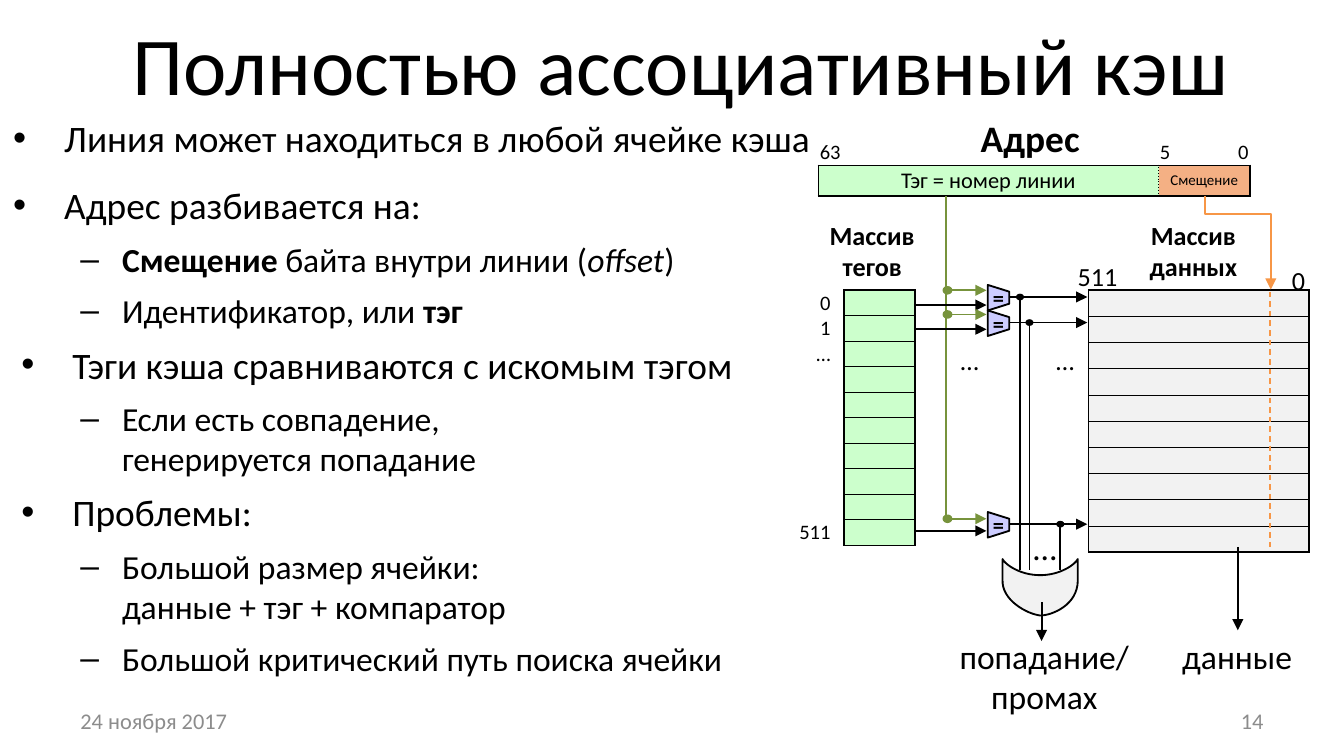
from dataclasses import dataclass

import lxml.etree
import pptx
import pptx.dml.color
import pptx.enum.dml
import pptx.enum.shapes
import pptx.enum.text
import pptx.oxml.ns
import pptx.util

Inches = pptx.util.Inches
Pt = pptx.util.Pt
qn = pptx.oxml.ns.qn
SubElement = lxml.etree.SubElement
ALIGN = pptx.enum.text.PP_ALIGN
ANCHOR = pptx.enum.text.MSO_ANCHOR
SHAPE = pptx.enum.shapes.MSO_SHAPE
CONNECTOR = pptx.enum.shapes.MSO_CONNECTOR
DASH = pptx.enum.dml.MSO_LINE

COLORS = {"black": "000000", "white": "FFFFFF", "gray": "F2F2F2", "mint": "CCFFCC", "salmon": "F4B084",
          "green": "77933C", "lilac": "CCCCFF", "orange": "F79646", "footer": "8C8C8C"}
PLAIN_TABLE_STYLE = "{2D5ABB26-0587-4C30-8999-92F81FD0307C}"
ROWS = 10
TOP = 2.16


@dataclass
class Run:
    text: str
    bold: bool = False
    italic: bool = False


@dataclass
class Bullet:
    runs: list[Run]
    level: int = 0
    indent: float = 0.38
    before: float = 6


@dataclass
class Label:
    lines: list[str]
    left: float
    top: float
    width: float
    height: float
    size: float
    align: ALIGN = ALIGN.CENTER
    bold: bool = False
    color: str = "black"
    wrap: bool = False
    anchor: ANCHOR = ANCHOR.TOP


@dataclass
class Comparator:
    top: float
    green_y: float
    output_y: float
    tag_y: float
    dot_x: float


BULLETS = [
    Bullet([Run("Линия может находиться в любой ячейке кэша")], before=0),
    Bullet([Run("Адрес разбивается на:")], before=12),
    Bullet([Run("Смещение", bold=True), Run(" байта внутри линии ("), Run("offset", italic=True), Run(")")], 1, 0.81),
    Bullet([Run("Идентификатор, или "), Run("тэг", bold=True)], 1, 0.81),
    Bullet([Run("Тэги кэша сравниваются с искомым тэгом")], indent=0.44),
    Bullet([Run("Если есть совпадение,\nгенерируется попадание")], 1, 0.81),
    Bullet([Run("Проблемы:")], indent=0.44),
    Bullet([Run("Большой размер ячейки:\nданные + тэг + компаратор")], 1, 0.81),
    Bullet([Run("Большой критический путь поиска ячейки")], 1, 0.81),
]
LABELS = [
    Label(["Полностью ассоциативный кэш"], 0.57, 0, 9, 0.94, 44, wrap=True, anchor=ANCHOR.MIDDLE),
    Label(["данные"], 8.69, 4.68, 1.03, 0.4, 18),
    Label(["511"], 7.92, 1.89, 0.5, 0.34, 14, ALIGN.LEFT),
    Label(["0"], 9.51, 1.92, 0.3, 0.34, 14, ALIGN.RIGHT),
    Label(["…"], 7.59, 3.87, 0.38, 0.4, 18, ALIGN.LEFT),
    Label(["попадание/\nпромах"], 7.03, 4.68, 1.48, 0.71, 18),
    Label(["…"], 7.05, 2.51, 0.34, 0.34, 14, ALIGN.LEFT),
    Label(["…"], 7.76, 2.51, 0.34, 0.34, 14, ALIGN.LEFT),
    Label(["Массив", "тегов"], 6.07, 1.58, 0.84, 0.57, 14, bold=True),
    Label(["Массив", "данных"], 8.45, 1.58, 0.86, 0.57, 14, bold=True),
    Label(["Адрес"], 6.67, 0.81, 1.99, 0.44, 20, bold=True, wrap=True),
    Label(["24 ноября 2017"], 0.5, 5.21, 2.33, 0.3, 12, ALIGN.LEFT, color="footer", wrap=True, anchor=ANCHOR.MIDDLE),
    Label(["14"], 7.17, 5.21, 2.33, 0.3, 12, ALIGN.RIGHT, color="footer", wrap=True, anchor=ANCHOR.MIDDLE),
]
COMPARATORS = [
    Comparator(2.12, 2.16, 2.21, 2.27, 7.59),
    Comparator(2.31, 2.34, 2.4, 2.45, 7.66),
    Comparator(3.81, 3.86, 3.9, 3.95, 7.89),
]


def rgb(name: str):
    return pptx.dml.color.RGBColor.from_string(COLORS[name])


def add_run(paragraph, run: Run, size: float, color: str = "black") -> None:
    for index, text in enumerate(run.text.split("\n")):
        if index:
            paragraph.add_line_break()
        piece = paragraph.add_run()
        piece.text = text
        font = piece.font
        font.name, font.size, font.bold, font.italic = "Calibri", Pt(size), run.bold, run.italic
        font.color.rgb = rgb(color)


def add_label(shapes, label: Label) -> None:
    box = shapes.add_textbox(Inches(label.left), Inches(label.top), Inches(label.width), Inches(label.height))
    frame = box.text_frame
    frame.word_wrap, frame.vertical_anchor = label.wrap, label.anchor
    for index, text in enumerate(label.lines):
        paragraph = frame.add_paragraph() if index else frame.paragraphs[0]
        paragraph.alignment = label.align
        add_run(paragraph, Run(text, label.bold), label.size, label.color)


def add_bullets(shapes) -> None:
    frame = shapes.add_textbox(Inches(0), Inches(0.81), Inches(6.17), Inches(4.76)).text_frame
    frame.word_wrap = True
    for index, bullet in enumerate(BULLETS):
        paragraph = frame.add_paragraph() if index else frame.paragraphs[0]
        paragraph.level = bullet.level
        paragraph.space_before = Pt(bullet.before)
        properties = paragraph._p.get_or_add_pPr()
        properties.set("marL", str(Inches(bullet.indent)))
        properties.set("indent", str(-Inches(0.31 if bullet.level else 0.38)))
        SubElement(properties, qn("a:buFont"), typeface="Arial")
        SubElement(properties, qn("a:buChar"), char="–" if bullet.level else "•")
        for run in bullet.runs:
            add_run(paragraph, run, 18 if bullet.level else 20)


def style_connector(connector, color: str, width: float, arrow: bool) -> None:
    connector.line.color.rgb = rgb(color)
    connector.line.width = Pt(width)
    if arrow:
        SubElement(connector.line._get_or_add_ln(), qn("a:tailEnd"), type="triangle")
    SubElement(connector._element.spPr, qn("a:effectLst"))


def add_line(shapes, start: tuple, end: tuple, color: str = "black", width: float = 1, arrow: bool = False):
    points = [Inches(value) for value in (*start, *end)]
    connector = shapes.add_connector(CONNECTOR.STRAIGHT, *points)
    style_connector(connector, color, width, arrow)
    return connector


def paint(shape, fill: str, line: str) -> None:
    shape.shadow.inherit = False
    shape.fill.solid()
    shape.fill.fore_color.rgb = rgb(fill)
    shape.line.color.rgb = rgb(line)
    shape.line.width = Pt(1)


def add_dot(shapes, x: float, y: float, color: str) -> None:
    dot = shapes.add_shape(SHAPE.OVAL, Inches(x - 0.03), Inches(y - 0.025), Inches(0.06), Inches(0.05))
    paint(dot, color, color)
    if color == "black":
        dot.line.fill.background()


def add_outline(shapes, points: list[tuple], fill: str):
    corners = [(Inches(x), Inches(y)) for x, y in points]
    builder = shapes.build_freeform(*corners[0], scale=1.0)
    builder.add_line_segments(corners[1:], close=True)
    shape = builder.convert_to_shape()
    paint(shape, fill, "black")
    return shape


def curve(start: tuple, first: tuple, second: tuple, end: tuple, steps: int = 16) -> list[tuple]:
    points = []
    for step in range(steps + 1):
        t = step / steps
        weights = ((1 - t) ** 3, 3 * t * (1 - t) ** 2, 3 * t * t * (1 - t), t ** 3)
        points.append(tuple(sum(w * p[axis] for w, p in zip(weights, (start, first, second, end))) for axis in (0, 1)))
    return points


def add_comparator(shapes, item: Comparator) -> None:
    y = item.top
    body = add_outline(shapes, [(7.35, y), (7.51, y + 0.05), (7.51, y + 0.14), (7.35, y + 0.19)], "lilac")
    frame = body.text_frame
    frame.margin_left = frame.margin_right = frame.margin_top = frame.margin_bottom = 0
    frame.word_wrap, frame.vertical_anchor = False, ANCHOR.MIDDLE
    frame.paragraphs[0].alignment = ALIGN.CENTER
    add_run(frame.paragraphs[0], Run("=", bold=True), 12)
    add_line(shapes, (7.03, item.green_y), (7.34, item.green_y), "green", arrow=True)
    add_dot(shapes, 7.05, item.green_y, "green")
    add_line(shapes, (6.8, item.tag_y), (7.34, item.tag_y), arrow=True)
    add_line(shapes, (7.51, item.output_y), (8.09, item.output_y), arrow=True)
    add_line(shapes, (item.dot_x, item.output_y), (item.dot_x, 4.24))
    add_dot(shapes, item.dot_x, item.output_y, "black")


def add_grid(shapes, left: float, top: float, columns: list[float], rows: list[float]):
    frame = shapes.add_table(len(rows), len(columns), Inches(left), Inches(top), Inches(sum(columns)), Inches(sum(rows)))
    table = frame.table
    table.first_row = table.horz_banding = False
    table._tbl.tblPr.find(qn("a:tableStyleId")).text = PLAIN_TABLE_STYLE
    for column, width in zip(table.columns, columns):
        column.width = Inches(width)
    for row, height in zip(table.rows, rows):
        row.height = Inches(height)
    return table


def fill_cell(cell, fill: str, borders: dict, text: str = "", size: float = 8, align: ALIGN = ALIGN.LEFT,
              right: float = 0.01, anchor: ANCHOR = ANCHOR.MIDDLE) -> None:
    cell.margin_left, cell.margin_right = Inches(0.01), Inches(right)
    cell.margin_top = cell.margin_bottom = 0
    cell.vertical_anchor = anchor
    properties = cell._tc.get_or_add_tcPr()
    for side in "LRTB":
        if side in borders:
            width, dash = borders[side]
            line = SubElement(properties, qn(f"a:ln{side}"), w=str(Pt(width)))
            SubElement(SubElement(line, qn("a:solidFill")), qn("a:srgbClr"), val=COLORS["black"])
            SubElement(line, qn("a:prstDash"), val=dash)
    cell.fill.solid()
    cell.fill.fore_color.rgb = rgb(fill)
    paragraph = cell.text_frame.paragraphs[0]
    paragraph.alignment = align
    if text:
        add_run(paragraph, Run(text), size)
    else:
        SubElement(paragraph._p, qn("a:endParaRPr"), sz=str(size * 100))


def row_borders(row: int) -> dict:
    thick, thin = (1, "solid"), (0.5, "solid")
    return {"L": thick, "R": thick, "T": thin if row else thick, "B": thick if row == ROWS - 1 else thin}


def add_arrays(shapes) -> None:
    data = add_grid(shapes, 8.1, TOP, [1.64], [1.95 / ROWS] * ROWS)
    tags = add_grid(shapes, 5.82, TOP, [0.46, 0.53], [1.9 / ROWS] * ROWS)
    numbers = {0: "0", 1: "1", 2: "…", ROWS - 1: "511"}
    for row in range(ROWS):
        fill_cell(data.cell(row, 0), "gray", row_borders(row))
        fill_cell(tags.cell(row, 0), "white", {"R": (1, "solid")}, numbers.get(row, ""), 11, ALIGN.RIGHT, 0.1,
                  ANCHOR.BOTTOM)
        fill_cell(tags.cell(row, 1), "mint", row_borders(row))


def add_address(shapes) -> None:
    solid, dotted = (1, "solid"), (0.5, "sysDot")
    table = add_grid(shapes, 6.09, 1.04, [2.53, 0.35, 0.33], [0.19, 0.23])
    for column, (bit, align) in enumerate([("63", ALIGN.LEFT), ("5", ALIGN.LEFT), ("0", ALIGN.RIGHT)]):
        fill_cell(table.cell(0, column), "white", {"B": solid}, bit, 11, align)
    table.cell(1, 1).merge(table.cell(1, 2))
    edges = {"T": solid, "B": solid}
    fill_cell(table.cell(1, 0), "mint", {**edges, "L": solid, "R": dotted}, "Тэг = номер линии", 12, ALIGN.CENTER)
    fill_cell(table.cell(1, 1), "salmon", {**edges, "L": dotted, "R": solid}, "Смещение", 8, ALIGN.CENTER)
    fill_cell(table.cell(1, 2), "salmon", {**edges, "R": solid})


def add_offset_path(shapes) -> None:
    elbow = shapes.add_connector(CONNECTOR.ELBOW, Inches(8.86), Inches(1.56), Inches(9.56), Inches(2.05))
    transform = elbow._element.spPr.find(qn("a:xfrm"))
    transform.set("rot", "16200000")
    transform.set("flipH", "1")
    guides = elbow._element.spPr.find(qn("a:prstGeom")).find(qn("a:avLst"))
    SubElement(guides, qn("a:gd"), name="adj1", fmla="val 19700")
    style_connector(elbow, "orange", 0.75, True)
    add_line(shapes, (9.45, 2.17), (9.45, 4.07), "orange", 0.75).line.dash_style = DASH.DASH


def main() -> None:
    presentation = pptx.Presentation()
    presentation.slide_width, presentation.slide_height = Inches(10), Inches(10 * 9 / 16)
    shapes = presentation.slides.add_slide(presentation.slide_layouts[6]).shapes
    add_arrays(shapes)
    add_address(shapes)
    add_bullets(shapes)
    add_line(shapes, (7.04, 1.46), (7.04, 3.87), "green")
    for comparator in COMPARATORS:
        add_comparator(shapes, comparator)
    gate = (curve((8.02, 4.16), (8, 4.2), (7.89, 4.28), (7.74, 4.28))
            + curve((7.74, 4.28), (7.59, 4.28), (7.48, 4.2), (7.46, 4.16))
            + curve((7.46, 4.31), (7.45, 4.47), (7.65, 4.57), (7.74, 4.58))
            + curve((7.74, 4.58), (7.83, 4.58), (8.02, 4.5), (8.02, 4.32)))
    add_outline(shapes, gate, "gray")
    add_line(shapes, (7.75, 4.48), (7.75, 4.77), arrow=True)
    add_line(shapes, (9.21, 4.07), (9.21, 4.69), arrow=True)
    add_offset_path(shapes)
    for label in LABELS:
        add_label(shapes, label)
    presentation.save("out.pptx")


if __name__ == "__main__":
    main()
